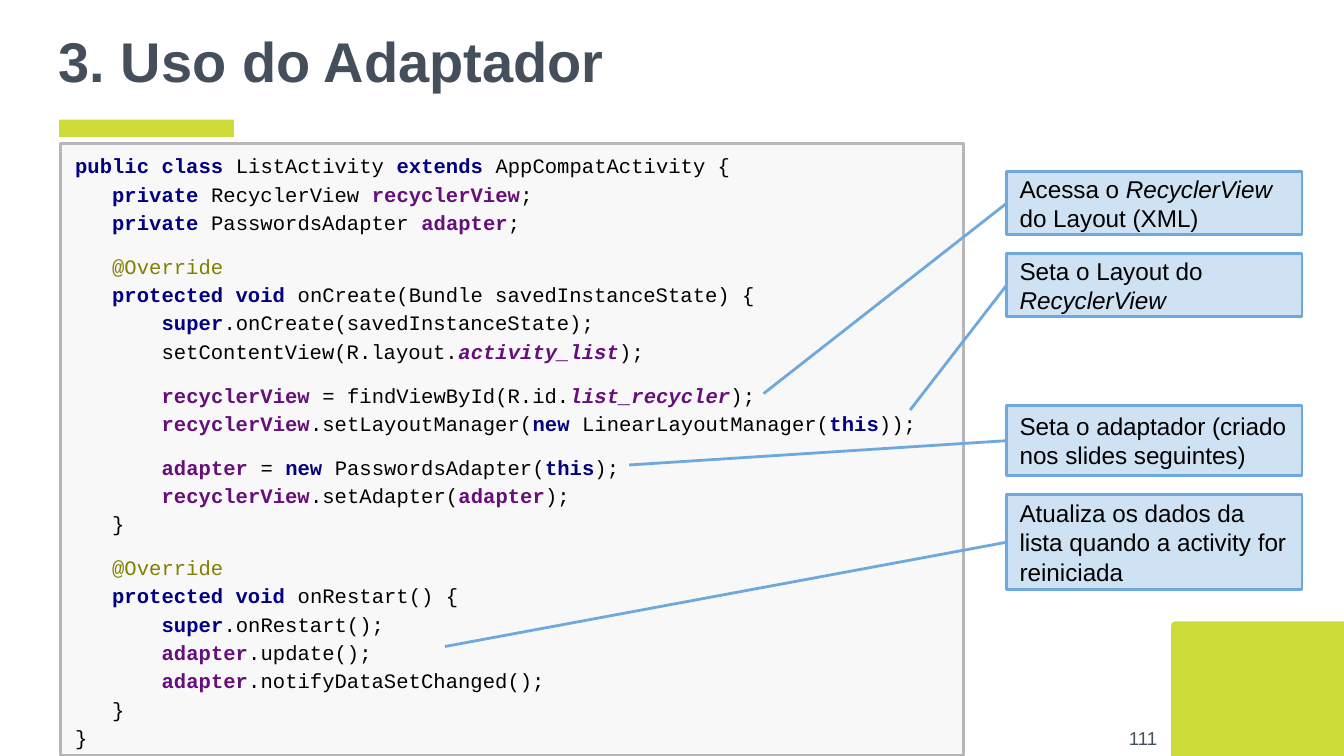
"""Build the "Uso do Adaptador" slide: annotated code with four callouts."""
import pptx
import pptx.dml.color
import pptx.enum.shapes
import pptx.enum.text
import pptx.oxml.ns
import pptx.util
from lxml import etree

Cm, Pt = pptx.util.Cm, pptx.util.Pt
RGBColor = pptx.dml.color.RGBColor
SHAPE = pptx.enum.shapes.MSO_SHAPE
ANCHOR = pptx.enum.text.MSO_ANCHOR
ALIGN = pptx.enum.text.PP_ALIGN

LIME = RGBColor(0xCD, 0xDC, 0x39)
SLATE = RGBColor(0x45, 0x4F, 0x5B)
BLACK = RGBColor(0x00, 0x00, 0x00)
NAVY = RGBColor(0x00, 0x00, 0x80)
PURPLE = RGBColor(0x66, 0x0E, 0x7A)
OLIVE = RGBColor(0x80, 0x80, 0x00)
CODE_FILL = RGBColor(0xF8, 0xF8, 0xF8)
CODE_LINE = RGBColor(0xB7, 0xB7, 0xB7)
NOTE_FILL = RGBColor(0xCF, 0xE2, 0xF3)
NOTE_LINE = RGBColor(0x6F, 0xA8, 0xDC)

TITLE = "3. Uso do Adaptador"
PAGE = "111"

CODE_BASE = {"name": "Courier New", "size": Pt(11)}
PLAIN = {**CODE_BASE, "bold": False, "color": BLACK}
KEYWORD = {**CODE_BASE, "bold": True, "color": NAVY}
FIELD = {**CODE_BASE, "bold": True, "color": PURPLE}
RESOURCE = {**FIELD, "italic": True}
ANNOTATION = {**PLAIN, "color": OLIVE}
NOTE = {"name": "Arial", "size": Pt(13), "color": BLACK}
NOTE_ITALIC = {**NOTE, "italic": True}
TITLE_FONT = {"name": "Arial", "size": Pt(30), "bold": True, "color": SLATE}
PAGE_FONT = {"name": "Arial", "size": Pt(10), "color": SLATE}

MEMBER = ("   ", PLAIN)
BODY = ("       ", PLAIN)
OVERRIDE = [MEMBER, ("@Override", ANNOTATION)]
METHOD = [MEMBER, ("protected void ", KEYWORD)]
CLOSE = [("   }", PLAIN)]

CODE_BLOCKS = [
    [
        [("public class ", KEYWORD), ("ListActivity ", PLAIN),
         ("extends ", KEYWORD), ("AppCompatActivity {", PLAIN)],
        [MEMBER, ("private ", KEYWORD), ("RecyclerView ", PLAIN),
         ("recyclerView", FIELD), (";", PLAIN)],
        [MEMBER, ("private ", KEYWORD), ("PasswordsAdapter ", PLAIN),
         ("adapter", FIELD), (";", PLAIN)],
    ],
    [
        OVERRIDE,
        METHOD + [("onCreate(Bundle savedInstanceState) {", PLAIN)],
        [BODY, ("super", KEYWORD), (".onCreate(savedInstanceState);", PLAIN)],
        [BODY, ("setContentView(R.layout.", PLAIN),
         ("activity_list", RESOURCE), (");", PLAIN)],
    ],
    [
        [BODY, ("recyclerView ", FIELD), ("= findViewById(R.id.", PLAIN),
         ("list_recycler", RESOURCE), (");", PLAIN)],
        [BODY, ("recyclerView", FIELD), (".setLayoutManager(", PLAIN),
         ("new ", KEYWORD), ("LinearLayoutManager(", PLAIN),
         ("this", KEYWORD), ("));", PLAIN)],
    ],
    [
        [BODY, ("adapter ", FIELD), ("= ", PLAIN), ("new ", KEYWORD),
         ("PasswordsAdapter(", PLAIN), ("this", KEYWORD), (");", PLAIN)],
        [BODY, ("recyclerView", FIELD), (".setAdapter(", PLAIN),
         ("adapter", FIELD), (");", PLAIN)],
        CLOSE,
    ],
    [
        OVERRIDE,
        METHOD + [("onRestart() {", PLAIN)],
        [BODY, ("super", KEYWORD), (".onRestart();", PLAIN)],
        [BODY, ("adapter", FIELD), (".update();", PLAIN)],
        [BODY, ("adapter", FIELD), (".notifyDataSetChanged();", PLAIN)],
        CLOSE,
        [("}", PLAIN)],
    ],
]

NOTE_LEFT, NOTE_WIDTH = 19.02, 5.59
NOTES = [
    {"top": 3.25, "height": 1.19, "target": (14.43, 7.44),
     "runs": [("Acessa o ", NOTE), ("RecyclerView", NOTE_ITALIC),
              (" do Layout (XML)", NOTE)]},
    {"top": 4.8, "height": 1.19, "target": (17.2, 7.75),
     "runs": [("Seta o Layout do ", NOTE), ("RecyclerView", NOTE_ITALIC)]},
    {"top": 7.67, "height": 1.32, "target": (11.89, 8.79),
     "runs": [("Seta o adaptador (criado nos slides seguintes)", NOTE)]},
    {"top": 9.35, "height": 1.8, "target": (8.41, 12.22),
     "runs": [("Atualiza os dados da lista quando a activity for reiniciada", NOTE)]},
]


def add_box(s, kind, box, fill, line=None, width=1.5):
    sp = s.shapes.add_shape(kind, *map(Cm, box))
    sp.shadow.inherit = False
    sp.fill.solid()
    sp.fill.fore_color.rgb = fill
    if line is None:
        sp.line.fill.background()
    else:
        sp.line.color.rgb = line
        sp.line.width = Pt(width)
    return sp


def set_frame(sp, x=0.25, y=0.25):
    tf = sp.text_frame
    frame = {"word_wrap": True, "vertical_anchor": ANCHOR.MIDDLE,
             "auto_size": pptx.enum.text.MSO_AUTO_SIZE.NONE,
             "margin_left": Cm(x), "margin_right": Cm(x),
             "margin_top": Cm(y), "margin_bottom": Cm(y)}
    for key, value in frame.items():
        setattr(tf, key, value)
    return tf


def write(p, runs, align=ALIGN.LEFT):
    p.alignment = align
    for text, style in runs:
        r = p.add_run()
        r.text = text
        for key, value in style.items():
            if key == "color":
                r.font.color.rgb = value
            else:
                setattr(r.font, key, value)


def add_code(s):
    sp = add_box(s, SHAPE.RECTANGLE, (1.14, 2.72, 17.07, 11.56),
                 CODE_FILL, CODE_LINE, 1.44)
    tf = set_frame(sp, 0.28, 0.15)
    for b, block in enumerate(CODE_BLOCKS):
        for n, runs in enumerate(block):
            p = tf.add_paragraph() if b or n else tf.paragraphs[0]
            p.line_spacing = 1.15
            if b and not n:
                p.space_before = Pt(8.3)
            write(p, runs)


def add_note(s, note):
    sp = add_box(s, SHAPE.RECTANGLE,
                 (NOTE_LEFT, note["top"], NOTE_WIDTH, note["height"]),
                 NOTE_FILL, NOTE_LINE)
    write(set_frame(sp).paragraphs[0], note["runs"])
    x, y = map(Cm, note["target"])
    line = s.shapes.add_connector(
        pptx.enum.shapes.MSO_CONNECTOR.STRAIGHT, x, y, sp.left, sp.top)
    line.end_connect(sp, 1)
    line.line.color.rgb = NOTE_LINE
    line.line.width = Pt(1.5)
    etree.SubElement(line._element.spPr, pptx.oxml.ns.qn("a:effectLst"))


def main():
    prs = pptx.Presentation()
    prs.slide_width, prs.slide_height = Cm(25.4), Cm(14.29)
    s = prs.slides.add_slide(prs.slide_layouts[5])

    title = s.shapes.title
    title.left, title.top, title.width, title.height = map(Cm, (0.86, 0, 23.67, 2.26))
    write(set_frame(title).paragraphs[0], [(TITLE, TITLE_FONT)])

    corner = add_box(s, SHAPE.ROUND_1_RECTANGLE, (22.5, 11.38, 2.57, 3.3), LIME)
    corner.adjustments[0] = 0.03
    corner.rotation = 270
    add_box(s, SHAPE.RECTANGLE, (1.12, 2.26, 3.3, 0.33), LIME)

    page = s.shapes.add_textbox(*map(Cm, (20.6, 13.41, 1.52, 1.09)))
    write(set_frame(page).paragraphs[0], [(PAGE, PAGE_FONT)], ALIGN.RIGHT)

    add_code(s)
    for note in NOTES:
        add_note(s, note)
    prs.save("out.pptx")


if __name__ == "__main__":
    main()
